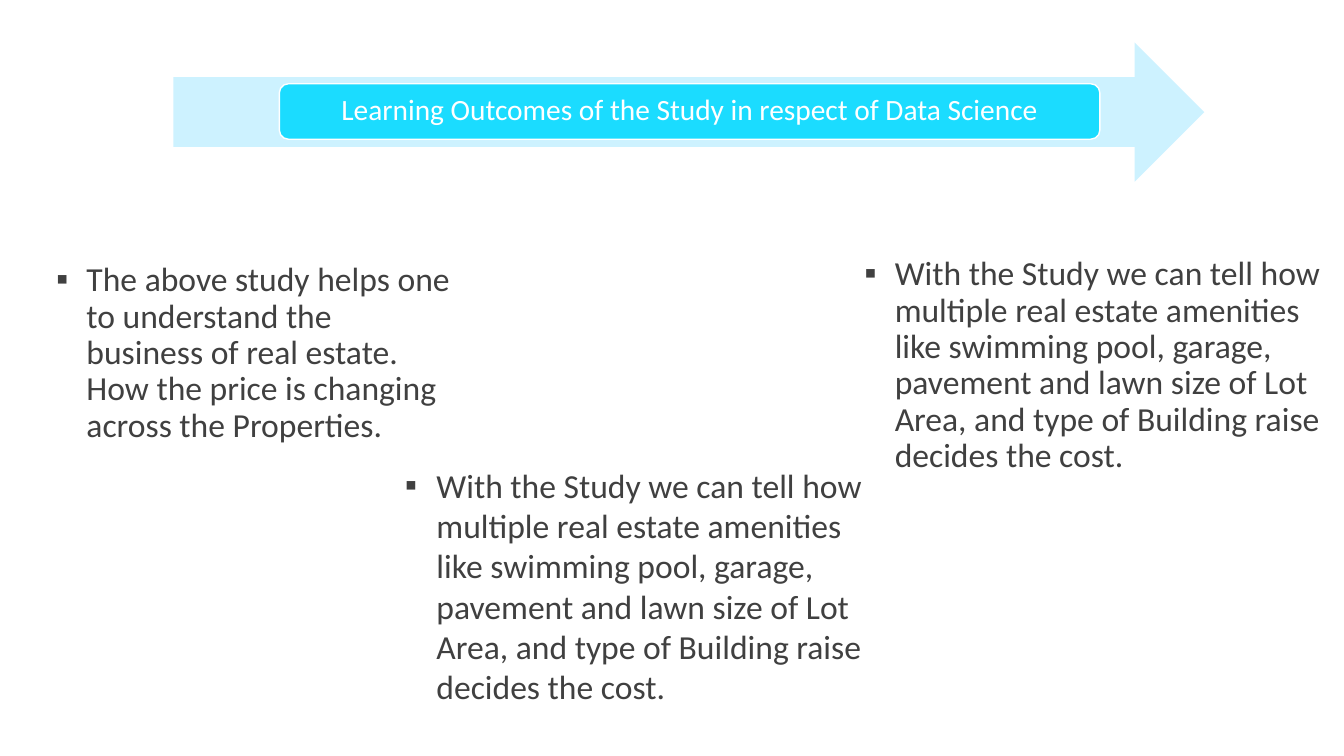
from lxml.etree import SubElement
from pptx import Presentation
from pptx.dml.color import RGBColor
from pptx.enum.shapes import MSO_SHAPE
from pptx.enum.text import MSO_ANCHOR, PP_ALIGN
from pptx.oxml.ns import qn
from pptx.util import Cm, Pt

COLORS = {"arrow": "CDF2FF", "banner": "1BDCFF", "white": "FFFFFF", "text": "404040"}

TITLE = "Learning Outcomes of the Study in respect of Data Science"
BUSINESS = ("The above study helps one to understand the business of real estate. "
            "How the price is changing across the Properties.")
AMENITIES = ("With the Study we can tell how multiple real estate amenities like "
             "swimming pool, garage, pavement and lawn size of Lot Area, and type "
             "of Building raise decides the cost.")

# Left, top, width, height (cm), line spacing, hanging indent (cm), text
OUTCOMES = [
    ((1.17, 6.5, 10.46, 5.36), 0.9, 0.76, BUSINESS),
    ((21.54, 6.35, 12.7, 11.02), 0.9, 0.76, AMENITIES),
    ((9.96, 11.58, 12.27, 7.19), 1.0, 0.79, AMENITIES),
]


def rgb(name):
    return RGBColor.from_string(COLORS[name])


def set_attrs(obj, values):
    for name, value in values.items():
        setattr(obj, name, value)


def add_run(p, text, size, color):
    r = p.add_run()
    r.text = text
    set_attrs(r.font, {"name": "Calibri", "size": Pt(size)})
    r.font.color.rgb = rgb(color)


def add_block(s, kind, box, fill):
    sp = s.shapes.add_shape(kind, *map(Cm, box))
    sp.shadow.inherit = False
    sp.fill.solid()
    sp.fill.fore_color.rgb = rgb(fill)
    sp.line.fill.background()
    return sp


def add_banner(s, box, text):
    sp = add_block(s, MSO_SHAPE.ROUNDED_RECTANGLE, box, "banner")
    sp.line.color.rgb = rgb("white")
    sp.line.width = Pt(1)
    tf = sp.text_frame
    set_attrs(tf, {"word_wrap": True, "vertical_anchor": MSO_ANCHOR.MIDDLE})
    p = tf.paragraphs[0]
    set_attrs(p, {"alignment": PP_ALIGN.CENTER, "line_spacing": 0.9})
    add_run(p, text, 21, "white")


def add_bullet(p, indent):
    pPr = p._p.get_or_add_pPr()
    pPr.set("marL", str(Cm(indent)))
    pPr.set("indent", str(-Cm(indent)))
    SubElement(pPr, qn("a:buFont")).set("typeface", "Calibri")
    SubElement(pPr, qn("a:buChar")).set("char", "▪")


def add_outcome(s, box, spacing, indent, text):
    tf = s.shapes.add_textbox(*map(Cm, box)).text_frame
    tf.word_wrap = True
    p = tf.paragraphs[0]
    add_bullet(p, indent)
    p.line_spacing = spacing
    add_run(p, text, 24, "text")


def main():
    prs = Presentation()
    set_attrs(prs, {"slide_width": Cm(33.87), "slide_height": Cm(19.05)})
    s = prs.slides.add_slide(prs.slide_layouts[6])

    # Title arrow
    add_block(s, MSO_SHAPE.RIGHT_ARROW, (4.37, 1.07, 25.98, 3.51), "arrow")
    add_banner(s, (7.04, 2.11, 20.68, 1.4), TITLE)

    # Learning outcomes
    for outcome in OUTCOMES:
        add_outcome(s, *outcome)

    prs.save("out.pptx")


if __name__ == "__main__":
    main()
